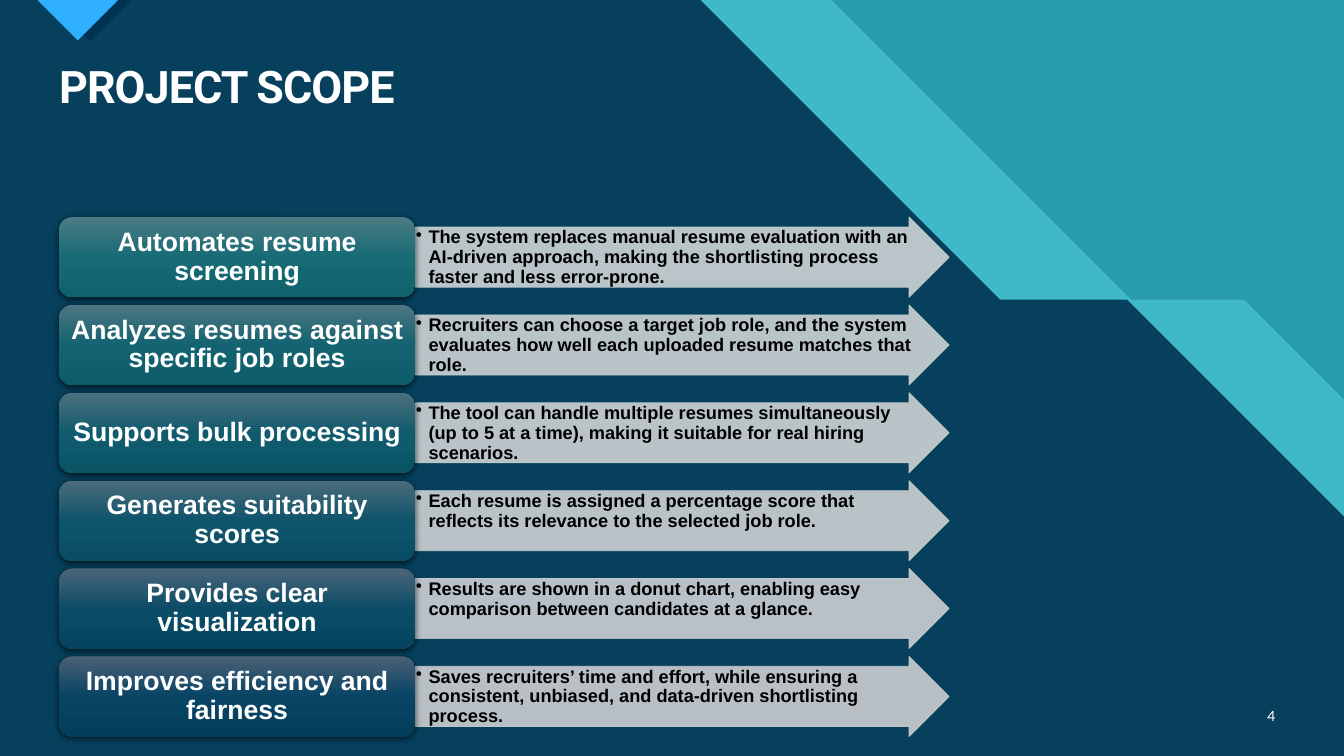
from dataclasses import dataclass

import pptx
import pptx.dml.color
import pptx.enum.shapes
import pptx.enum.text
import pptx.oxml
import pptx.oxml.ns
import pptx.util
from lxml import etree

Cm, Pt = pptx.util.Cm, pptx.util.Pt
RGB = pptx.dml.color.RGBColor
SHAPE = pptx.enum.shapes.MSO_SHAPE
ALIGN = pptx.enum.text.PP_ALIGN
ANCHOR = pptx.enum.text.MSO_ANCHOR
qn = pptx.oxml.ns.qn


@dataclass(frozen=True)
class Theme:
    teal: str = "299CAB"
    band: str = "47C3D3"
    navy: str = "003352"
    blue: str = "2FAFFF"
    white: str = "FFFFFF"
    black: str = "000000"
    arrow: tuple = ("CDD4D5", "CCCFD2")  # first row, last row
    label: tuple = (("4D7B83", "4B6075"), ("166B75", "084464"), ("0F636C", "033E5D"))
    title_font: str = "Roboto"
    body_font: str = "Arial"
    number_font: str = "Lato"
    title_size: int = 32
    label_size: int = 19
    detail_size: int = 13
    number_size: int = 10


T = Theme()
WIDTH, HEIGHT = 33.87, 19.05

SCOPE = [
    ("Automates resume screening",
     "The system replaces manual resume evaluation with an AI-driven approach, "
     "making the shortlisting process faster and less error-prone."),
    ("Analyzes resumes against specific job roles",
     "Recruiters can choose a target job role, and the system evaluates how well "
     "each uploaded resume matches that role."),
    ("Supports bulk processing",
     "The tool can handle multiple resumes simultaneously (up to 5 at a time), "
     "making it suitable for real hiring scenarios."),
    ("Generates suitability scores",
     "Each resume is assigned a percentage score that reflects its relevance to "
     "the selected job role."),
    ("Provides clear visualization",
     "Results are shown in a donut chart, enabling easy comparison between "
     "candidates at a glance."),
    ("Improves efficiency and fairness",
     "Saves recruiters’ time and effort, while ensuring a consistent, unbiased, "
     "and data-driven shortlisting process."),
]


def blend(ends, share):
    a, b = (RGB.from_string(c) for c in ends)
    return str(RGB(*(round(x + (y - x) * share) for x, y in zip(a, b))))


def set_opacity(sp, percent):
    """Apply one opacity to every colour of the shape's fill and line."""
    for clr in sp._element.spPr.iter(qn("a:srgbClr")):
        etree.SubElement(clr, qn("a:alpha"), val=str(percent * 1000))


def paint(sp, color):
    sp.shadow.inherit = False
    sp.fill.solid()
    sp.fill.fore_color.rgb = RGB.from_string(color)
    sp.line.fill.background()


def set_gradient(sp, colors):
    """Fill top to bottom with evenly spaced colours."""
    last = len(colors) - 1
    stops = "".join(
        f'<a:gs pos="{100000 * i // last}"><a:srgbClr val="{c}"/></a:gs>'
        for i, c in enumerate(colors))
    grad = pptx.oxml.parse_xml(
        f'<a:gradFill {pptx.oxml.ns.nsdecls("a")} rotWithShape="1">'
        f'<a:gsLst>{stops}</a:gsLst><a:lin ang="5400000" scaled="0"/></a:gradFill>')
    spPr = sp._element.spPr
    spPr.replace(spPr.find(qn("a:solidFill")), grad)


def drop_shadow(sp):
    effects = sp._element.spPr.find(qn("a:effectLst"))
    shadow = etree.SubElement(effects, qn("a:outerShdw"), blurRad="57150",
                              dist="19050", dir="5400000", algn="ctr", rotWithShape="0")
    clr = etree.SubElement(shadow, qn("a:srgbClr"), val=T.black)
    etree.SubElement(clr, qn("a:alpha"), val="63000")


def set_frame(tf, anchor, inset_x, inset_y):
    tf.word_wrap = True
    tf.vertical_anchor = anchor
    tf.margin_left = tf.margin_right = Cm(inset_x)
    tf.margin_top = tf.margin_bottom = Cm(inset_y)


def add_text(p, text, font, size, color, align, bold=True):
    p.alignment = align
    r = p.add_run()
    r.text = text
    r.font.name, r.font.size, r.font.bold = font, Pt(size), bold
    r.font.color.rgb = RGB.from_string(color)
    return r


def add_polygon(s, points, color):
    start, *rest = [(Cm(x), Cm(y)) for x, y in points]
    builder = s.shapes.build_freeform(*start)
    builder.add_line_segments(rest, close=True)
    sp = builder.convert_to_shape()
    paint(sp, color)
    return sp


def add_backdrop(s, width, height):
    s.background.fill.solid()
    s.background.fill.fore_color.rgb = RGB.from_string(T.teal)
    ledge = 7.55
    for top_x, ledge_end, color, opacity in ((20.95, 31.35, T.band, 74),
                                             (17.65, 28.4, T.navy, 90)):
        sp = add_polygon(s, [(0, 0), (top_x, 0), (top_x + ledge, ledge),
                             (ledge_end, ledge), (width, ledge + width - ledge_end),
                             (width, height), (0, height)], color)
        set_opacity(sp, opacity)
    for left, depth, color in ((1.22, 1.05, T.navy), (0.94, 1.02, T.blue)):
        add_polygon(s, [(left, 0), (left + depth, depth), (left + 2 * depth, 0)], color)


def add_title(s, text, left, top, width, height):
    """Fill the title placeholder and bring it in front of the backdrop."""
    sp = s.shapes.title
    s.shapes._spTree.append(sp._element)
    sp.left, sp.top, sp.width, sp.height = map(Cm, (left, top, width, height))
    set_frame(sp.text_frame, ANCHOR.MIDDLE, 0.25, 0.13)
    p = sp.text_frame.paragraphs[0]
    p.line_spacing = 0.9
    r = add_text(p, text, T.title_font, T.title_size, T.white, ALIGN.LEFT)
    r.font._element.set("spc", "-70")


def add_detail_arrow(s, text, color, left, top, width, height):
    sp = s.shapes.add_shape(SHAPE.RIGHT_ARROW, *map(Cm, (left, top, width, height)))
    sp.adjustments[0], sp.adjustments[1] = 0.75, 0.5
    paint(sp, color)
    sp.line.color.rgb = RGB.from_string(color)
    sp.line.width = Pt(0.5)
    set_opacity(sp, 90)
    set_frame(sp.text_frame, ANCHOR.TOP, 0.02, 0.03)
    p = sp.text_frame.paragraphs[0]
    p.line_spacing = 0.9
    pPr = p._p.get_or_add_pPr()
    pPr.set("marL", str(Cm(0.32)))
    pPr.set("indent", str(-Cm(0.32)))
    etree.SubElement(pPr, qn("a:buChar"), char="•")
    add_text(p, text, T.body_font, T.detail_size, T.black, ALIGN.LEFT)


def add_label(s, text, colors, left, top, width, height):
    sp = s.shapes.add_shape(SHAPE.ROUNDED_RECTANGLE, *map(Cm, (left, top, width, height)))
    paint(sp, colors[0])
    set_gradient(sp, colors)
    drop_shadow(sp)
    set_frame(sp.text_frame, ANCHOR.MIDDLE, 0.2, 0.1)
    p = sp.text_frame.paragraphs[0]
    p.line_spacing = 0.9
    add_text(p, text, T.body_font, T.label_size, T.white, ALIGN.CENTER)


def add_scope_list(s, items, left, top, width, height):
    row_height, label_width = 2.02, 0.4 * width
    last = len(items) - 1
    pitch = (height - row_height) / last
    for i, (label, detail) in enumerate(items):
        y, share = top + i * pitch, i / last
        add_detail_arrow(s, detail, blend(T.arrow, share),
                         left + label_width, y, width - label_width, row_height)
        add_label(s, label, [blend(ends, share) for ends in T.label],
                  left, y, label_width, row_height)


def add_page_number(s, number, left, top, width, height):
    tf = s.shapes.add_textbox(*map(Cm, (left, top, width, height))).text_frame
    set_frame(tf, ANCHOR.MIDDLE, 0.25, 0.13)
    add_text(tf.paragraphs[0], number, T.number_font, T.number_size, T.white,
             ALIGN.RIGHT, bold=False)


def main():
    prs = pptx.Presentation()
    prs.slide_width, prs.slide_height = Cm(WIDTH), Cm(HEIGHT)
    s = prs.slides.add_slide(prs.slide_layouts.get_by_name("Title Only"))
    add_backdrop(s, WIDTH, HEIGHT)
    add_title(s, "PROJECT SCOPE", 1.24, 1.5, 31.14, 1.5)
    add_scope_list(s, SCOPE, 1.49, 5.47, 22.43, 13.09)
    add_page_number(s, "4", 31.27, 17.54, 1.12, 1.02)
    prs.save("out.pptx")


if __name__ == "__main__":
    main()
